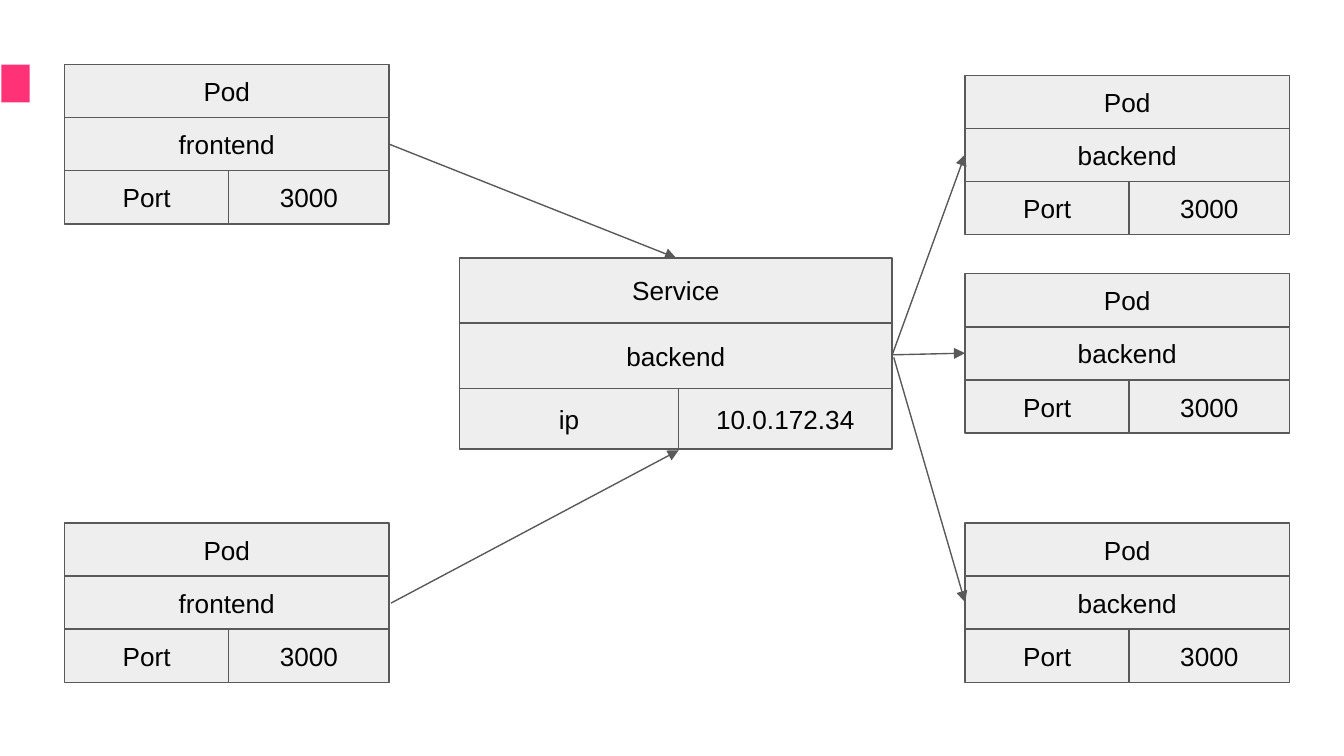
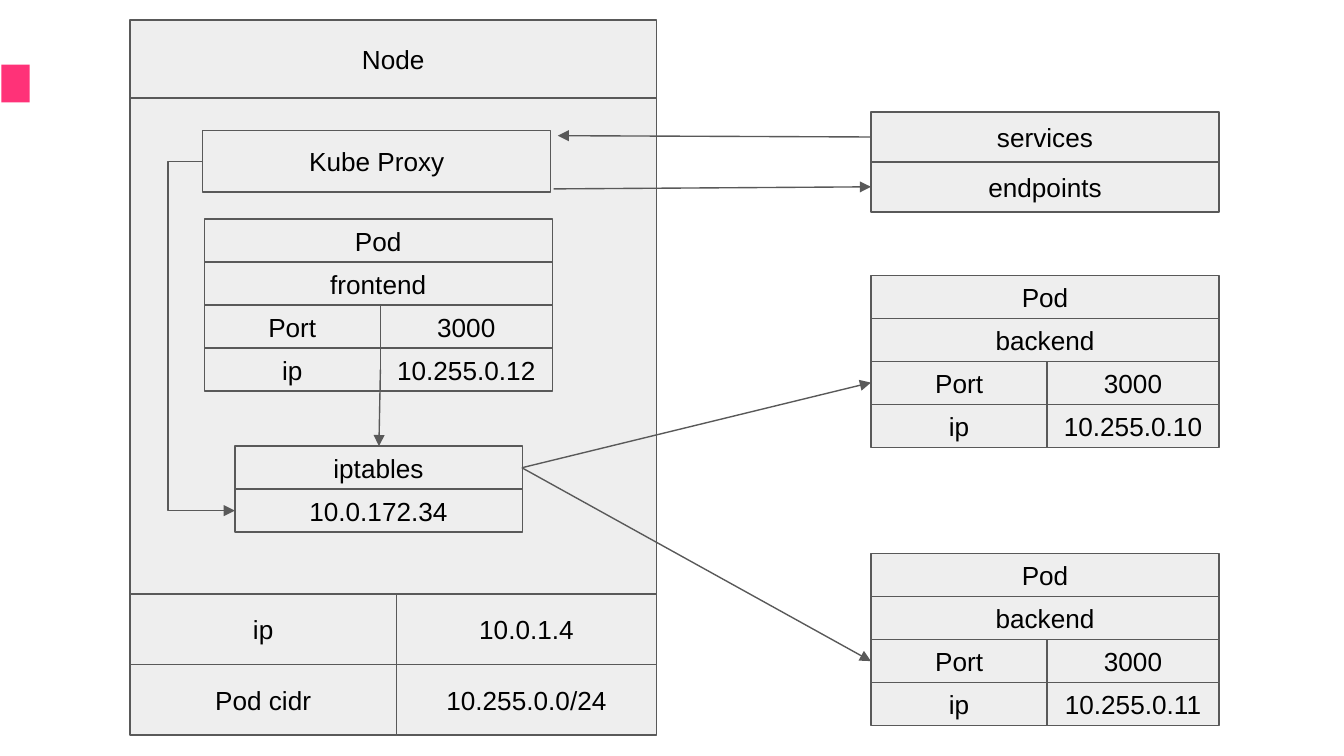
"""Two diagrams of pods, services and the node proxy."""
from lxml.etree import SubElement
from pptx import Presentation
from pptx.dml.color import RGBColor
from pptx.enum.shapes import MSO_CONNECTOR as LINE, MSO_SHAPE as SHAPE
from pptx.enum.text import MSO_ANCHOR as ANCHOR, PP_ALIGN as ALIGN
from pptx.oxml.ns import qn
from pptx.util import Pt

COLORS = {"accent": "FF3278", "fill": "EEEEEE", "line": "595959", "text": "000000"}
FONT, SIZE, STROKE = "Arial", 14, 0.75
SPLIT = 0.506
MARKER = (0.8, 34.6, 15.1, 20.2)


def pod(name, ip=None):
    """Return the rows of a pod card."""
    rows = [("Pod",), (name,), ("Port", "3000")]
    return rows + [("ip", ip)] if ip else rows


WIDE, ROW = 173.8, 28.45
NARROW, LOW_ROW = 186.5, 23.04
LEFT, RIGHT, API = 34.6, 517, 466.6

# Cards: left, top, width, row heights (one number for equal rows), rows
# Arrows: start point, end point
SLIDES = [
    {
        "cards": [
            (LEFT, 34.6, WIDE, ROW, pod("frontend")),
            (LEFT, 280.2, WIDE, ROW, pod("frontend")),
            (RIGHT, 40.4, WIDE, ROW, pod("backend")),
            (RIGHT, 146.7, WIDE, ROW, pod("backend")),
            (RIGHT, 280.2, WIDE, ROW, pod("backend")),
            (246.2, 138.2, 231.8, (34.9, 34.9, 32.5),
             [("Service",), ("backend",), ("ip", "10.0.172.34")]),
        ],
        "arrows": [
            ((208.4, 77.2), (362.2, 138.2)),
            ((209.5, 323.1), (363.6, 241.2)),
            ((478, 190.1), (RIGHT, 82.8)),
            ((478, 190.1), (RIGHT, 189.2)),
            ((478.8, 191.5), (RIGHT, 322.6)),
        ],
        "elbows": [],
    },
    {
        "cards": [
            (69.6, 10.8, 282.2, (41.8, 265.6, 37.8, 37.8),
             [("Node",), ("",), ("ip", "10.0.1.4"), ("Pod cidr", "10.255.0.0/24")]),
            (109.4, 117.4, NARROW, LOW_ROW, pod("frontend", "10.255.0.12")),
            (125.8, 239, 154, LOW_ROW, [("iptables",), ("10.0.172.34",)]),
            (API, 147.6, NARROW, LOW_ROW, pod("backend", "10.255.0.10")),
            (API, 296.6, NARROW, LOW_ROW, pod("backend", "10.255.0.11")),
            (108.6, 69.8, NARROW, 33.1, [("Kube Proxy",)]),
            (API, 60, NARROW, 26.8, [("services",), ("endpoints",)]),
        ],
        "arrows": [
            ((203.8, 198), (203, 239)),
            ((279.6, 250.6), (API, 205)),
            ((279.6, 250.6), (API, 354.2)),
            ((API, 73.4), (298.8, 72.7)),
            ((296.6, 101.2), (API, 100.1)),
        ],
        "elbows": [((108.6, 86.4), (125.8, 273.6), 90)],
    },
]


def rgb(name):
    return RGBColor.from_string(COLORS[name])


def add_box(shapes, x, y, w, h, fill):
    sp = shapes.add_shape(SHAPE.RECTANGLE, Pt(x), Pt(y), Pt(w), Pt(h))
    sp.shadow.inherit = False
    sp.fill.solid()
    sp.fill.fore_color.rgb = rgb(fill)
    sp.line.fill.background()
    return sp


def add_cell(shapes, x, y, w, h, text):
    sp = add_box(shapes, x, y, w, h, "fill")
    sp.line.color.rgb = rgb("line")
    sp.line.width = Pt(STROKE)
    if not text:
        return
    tf = sp.text_frame
    tf.word_wrap = True
    tf.vertical_anchor = ANCHOR.MIDDLE
    p = tf.paragraphs[0]
    p.alignment = ALIGN.CENTER
    r = p.add_run()
    r.text = text
    r.font.name, r.font.size = FONT, Pt(SIZE)
    r.font.color.rgb = rgb("text")


def add_card(s, x, y, w, heights, rows):
    shapes = s.shapes.add_group_shape().shapes
    if not isinstance(heights, tuple):
        heights = (heights,) * len(rows)
    for h, row in zip(heights, rows):
        widths = (w,) if len(row) == 1 else (w * SPLIT, w * (1 - SPLIT))
        left = x
        for text, width in zip(row, widths):
            add_cell(shapes, left, y, width, h, text)
            left += width
        y += h


def add_arrow(s, start, end, kind=LINE.STRAIGHT):
    cx = s.shapes.add_connector(kind, *(Pt(v) for v in start + end))
    cx.line.color.rgb = rgb("line")
    cx.line.width = Pt(STROKE)
    props = cx._element.spPr
    SubElement(props.find(qn("a:ln")), qn("a:tailEnd"), type="triangle")
    SubElement(props, qn("a:effectLst"))
    return cx


def add_elbow(s, start, end, bend_x):
    cx = add_arrow(s, start, end, LINE.ELBOW)
    ratio = (bend_x - start[0]) / (end[0] - start[0])
    guides = cx._element.spPr.find(qn("a:prstGeom")).get_or_add_avLst()
    SubElement(guides, qn("a:gd"), name="adj1", fmla=f"val {round(ratio * 100000)}")


def main():
    prs = Presentation()
    prs.slide_width, prs.slide_height = Pt(720), Pt(405)
    for content in SLIDES:
        s = prs.slides.add_slide(prs.slide_layouts[6])
        add_box(s.shapes, *MARKER, "accent")
        for card in content["cards"]:
            add_card(s, *card)
        for arrow in content["arrows"]:
            add_arrow(s, *arrow)
        for elbow in content["elbows"]:
            add_elbow(s, *elbow)
    prs.save("out.pptx")


if __name__ == "__main__":
    main()
